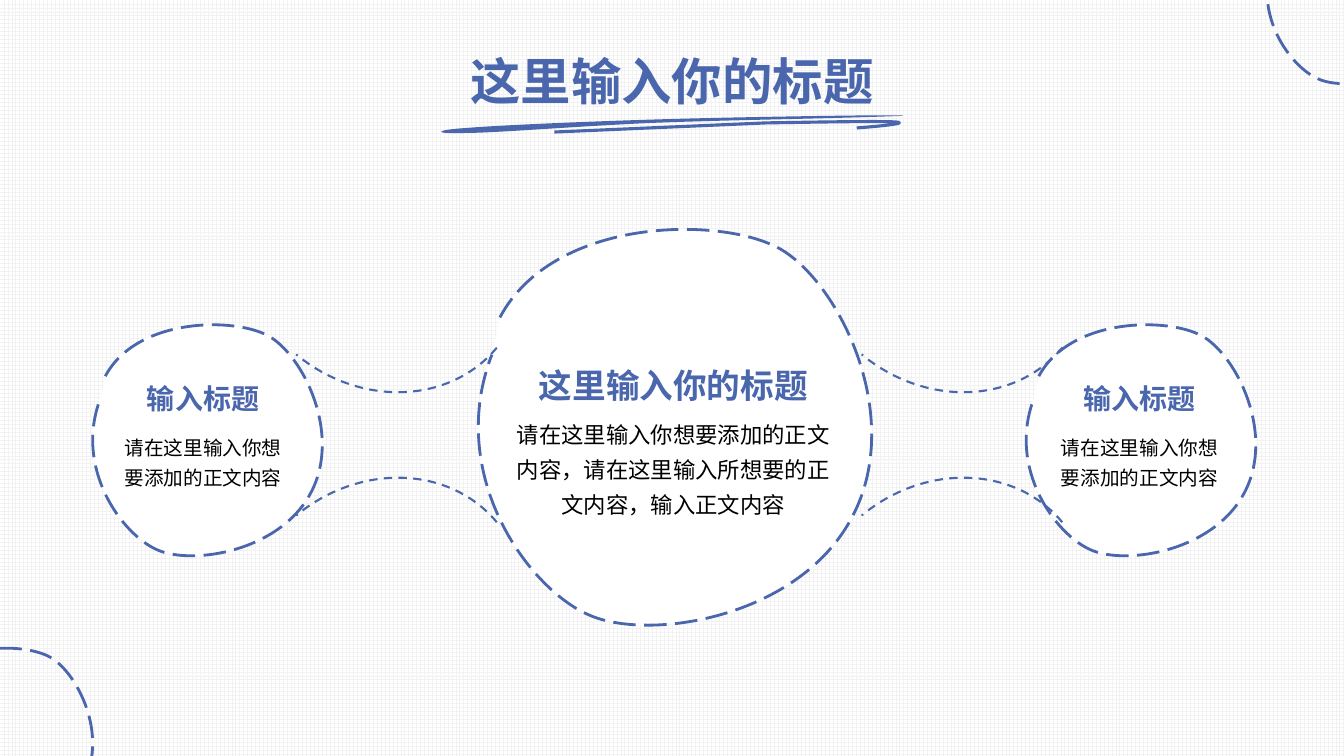
from dataclasses import dataclass
from math import cos, radians, sin
from typing import Optional

from lxml.etree import SubElement
from pptx import Presentation
from pptx.dml.color import RGBColor
from pptx.enum.dml import MSO_LINE, MSO_PATTERN
from pptx.enum.shapes import MSO_SHAPE
from pptx.enum.text import MSO_ANCHOR, MSO_AUTO_SIZE, PP_ALIGN
from pptx.oxml.ns import qn
from pptx.util import Pt

BLUE = RGBColor(0x4A, 0x66, 0xAC)
WHITE = RGBColor(0xFF, 0xFF, 0xFF)
BLACK = RGBColor(0, 0, 0)
GRID = RGBColor(0xF2, 0xF2, 0xF2)
HEADING_FONT = "Noto Sans CJK JP"
BODY_FONT = "Noto Sans CJK SC"
BLOB_WIDTH, BLOB_HEIGHT = 401, 410
BLOB_ROTATION = 207.6
ARC_ROTATION = 129.6

BLOB = [[(30, 98)],
        [(83, -2), (250, -3), (308, 30)],
        [(366, 63), (432, 195), (380, 295)],
        [(328, 396), (178, 420), (118, 393)],
        [(58, 367), (-24, 254), (22, 135)]]
BRUSH_BOX = (315.4, 82.8, 329.8, 13)
BRUSH = [[(333.4, 91.4)],
         [(358.6, 89.3), (428.4, 86.4), (480.2, 85)],
         [(531.4, 83.5), (659.5, 81.4), (643.7, 82.8)],
         [(583.9, 85), (517.7, 85.7), (465.8, 87.8)],
         [(414, 90), (353.5, 95), (331.9, 95)],
         [(309.6, 95.8), (308.9, 92.9), (333.4, 91.4)]]
TAIL_BOX = (396, 87.1, 246.2, 7.9)
TAIL = [[(396, 94.3)],
        [(547.2, 87.8)],
        [(587.5, 87.1), (628.6, 86.4), (639.4, 87.1)],
        [(650.2, 87.8), (630.7, 90), (612, 91.4)]]


@dataclass
class Blob:
    left: float
    top: float
    width: float
    fill: Optional[RGBColor] = WHITE


@dataclass
class TextStyle:
    size: float
    font: str
    color: RGBColor
    bold: bool
    spacing: float


@dataclass
class Topic:
    left: float
    width: float
    heading_top: float
    heading_height: float
    body_top: float
    body_height: float
    heading_size: float
    body_size: float
    heading: str
    body: str
    placeholder: int


CARDS = [Blob(335.5, 156.2, 288.7), Blob(729.4, 227.5, 168.5), Blob(62.6, 227.5, 168.5)]
CORNERS = [Blob(-67, 459.4, 133.9, None), Blob(902.2, -74.9, 133.9, None)]
SIDE = dict(width=131.8, heading_top=271.4, heading_height=61.9, body_top=302.4,
            body_height=81.4, heading_size=20, body_size=14,
            heading="输入标题", body="请在这里输入你想要添加的正文内容")
TOPICS = [
    Topic(358.2, 245.5, 260.6, 70.6, 291.6, 115.9, 24, 16, "这里输入你的标题",
          "请在这里输入你想要添加的正文内容，请在这里输入所想要的正文内容，输入正文内容", 1),
    Topic(left=79.2, placeholder=2, **SIDE),
    Topic(left=748.1, placeholder=3, **SIDE),
]


def turn(point: tuple, center: tuple, degrees: float) -> tuple:
    angle = radians(degrees)
    x, y = point[0] - center[0], point[1] - center[1]
    return (center[0] + x * cos(angle) - y * sin(angle),
            center[1] + x * sin(angle) + y * cos(angle))


def format_shape(s, fill: Optional[RGBColor], line_width: float = 0, dash=None) -> None:
    s.shadow.inherit = False
    if fill is None:
        s.fill.background()
    else:
        s.fill.solid()
        s.fill.fore_color.rgb = fill
    if not line_width:
        s.line.fill.background()
        return
    s.line.color.rgb = BLUE
    s.line.width = Pt(line_width)
    if dash is not None:
        s.line.dash_style = dash


def draw_curve(slide, box: tuple, segments: list, close: bool = False):
    left, top, width, height = box
    corners = [(Pt(x), Pt(y)) for segment in segments for x, y in segment]
    builder = slide.shapes.build_freeform(*corners[0])
    builder.add_line_segments(corners[1:], close=close)
    s = builder.convert_to_shape()
    s.left, s.top, s.width, s.height = (Pt(v) for v in box)
    outline = s._element.spPr.find(".//" + qn("a:path"))
    outline.clear()
    outline.set("w", str(Pt(width)))
    outline.set("h", str(Pt(height)))
    for i, segment in enumerate(segments):
        tag = "a:moveTo" if i == 0 else "a:lnTo" if len(segment) == 1 else "a:cubicBezTo"
        step = SubElement(outline, qn(tag))
        for x, y in segment:
            pt = SubElement(step, qn("a:pt"))
            pt.set("x", str(Pt(x - left)))
            pt.set("y", str(Pt(y - top)))
    if close:
        SubElement(outline, qn("a:close"))
    return s


def draw_blob(slide, blob: Blob) -> None:
    scale = blob.width / BLOB_WIDTH
    center = (BLOB_WIDTH / 2, BLOB_HEIGHT / 2)
    segments = []
    for segment in BLOB:
        turned = [turn(point, center, -BLOB_ROTATION) for point in segment]
        segments.append([(blob.left + x * scale, blob.top + y * scale) for x, y in turned])
    box = (blob.left, blob.top, blob.width, BLOB_HEIGHT * scale)
    s = draw_curve(slide, box, segments)
    s.rotation = BLOB_ROTATION
    format_shape(s, blob.fill, 2, MSO_LINE.LONG_DASH)


def draw_arc(slide, left: float, top: float, flipped: bool) -> None:
    s = slide.shapes.add_shape(MSO_SHAPE.ARC, Pt(left), Pt(top), Pt(190.1), Pt(214.6))
    s.rotation = 360 - ARC_ROTATION if flipped else ARC_ROTATION
    if flipped:
        s._element.spPr.find(qn("a:xfrm")).set("flipV", "1")
    format_shape(s, None, 1.5, MSO_LINE.DASH)


def write_text(s, box: tuple, text: str, style: TextStyle, anchor=MSO_ANCHOR.TOP) -> None:
    s.left, s.top, s.width, s.height = (Pt(v) for v in box)
    tf = s.text_frame
    tf.text = text
    tf.word_wrap = True
    tf.auto_size = MSO_AUTO_SIZE.NONE
    tf.vertical_anchor = anchor
    p = tf.paragraphs[0]
    p.alignment = PP_ALIGN.CENTER
    p.line_spacing = style.spacing
    p.space_before = Pt(0)
    pPr = p._p.get_or_add_pPr()
    pPr.set("marL", "0")
    pPr.set("indent", "0")
    SubElement(pPr, qn("a:buNone"))
    r = p.runs[0]
    r.font.size = Pt(style.size)
    r.font.bold = style.bold
    r.font.color.rgb = style.color
    r.font.name = style.font
    SubElement(r._r.get_or_add_rPr(), qn("a:ea")).set("typeface", style.font)


def write_topic(slide, topic: Topic) -> None:
    heading = slide.shapes.add_textbox(0, 0, 0, 0)
    write_text(heading, (topic.left, topic.heading_top, topic.width, topic.heading_height),
               topic.heading, TextStyle(topic.heading_size, HEADING_FONT, BLUE, True, 0.9))
    body = slide.placeholders[topic.placeholder]
    slide.shapes._spTree.append(body._element)
    write_text(body, (topic.left, topic.body_top, topic.width, topic.body_height),
               topic.body, TextStyle(topic.body_size, BODY_FONT, BLACK, False, 1.3))


def main() -> None:
    prs = Presentation()
    prs.slide_width, prs.slide_height = Pt(960), Pt(540)
    slide = prs.slides.add_slide(prs.slide_layouts.get_by_name("Comparison"))
    unused = slide.placeholders[4]._element
    unused.getparent().remove(unused)

    background = slide.background.fill
    background.patterned()
    background.pattern = MSO_PATTERN.LARGE_GRID
    background.fore_color.rgb = GRID
    background.back_color.rgb = WHITE

    format_shape(draw_curve(slide, BRUSH_BOX, BRUSH, close=True), BLUE)
    format_shape(draw_curve(slide, TAIL_BOX, TAIL), None, 2.25)
    for blob in CARDS:
        draw_blob(slide, blob)
    for left in (581, 177.1):
        draw_arc(slide, left, 334.1, True)
        draw_arc(slide, left, 72.7, False)
    write_text(slide.shapes.title, (304.6, 36.6, 350.6, 47.5), "这里输入你的标题",
               TextStyle(36, HEADING_FONT, BLUE, True, 0.9), MSO_ANCHOR.MIDDLE)
    for topic in TOPICS:
        write_topic(slide, topic)
    for blob in CORNERS:
        draw_blob(slide, blob)
    prs.save("out.pptx")


if __name__ == "__main__":
    main()
